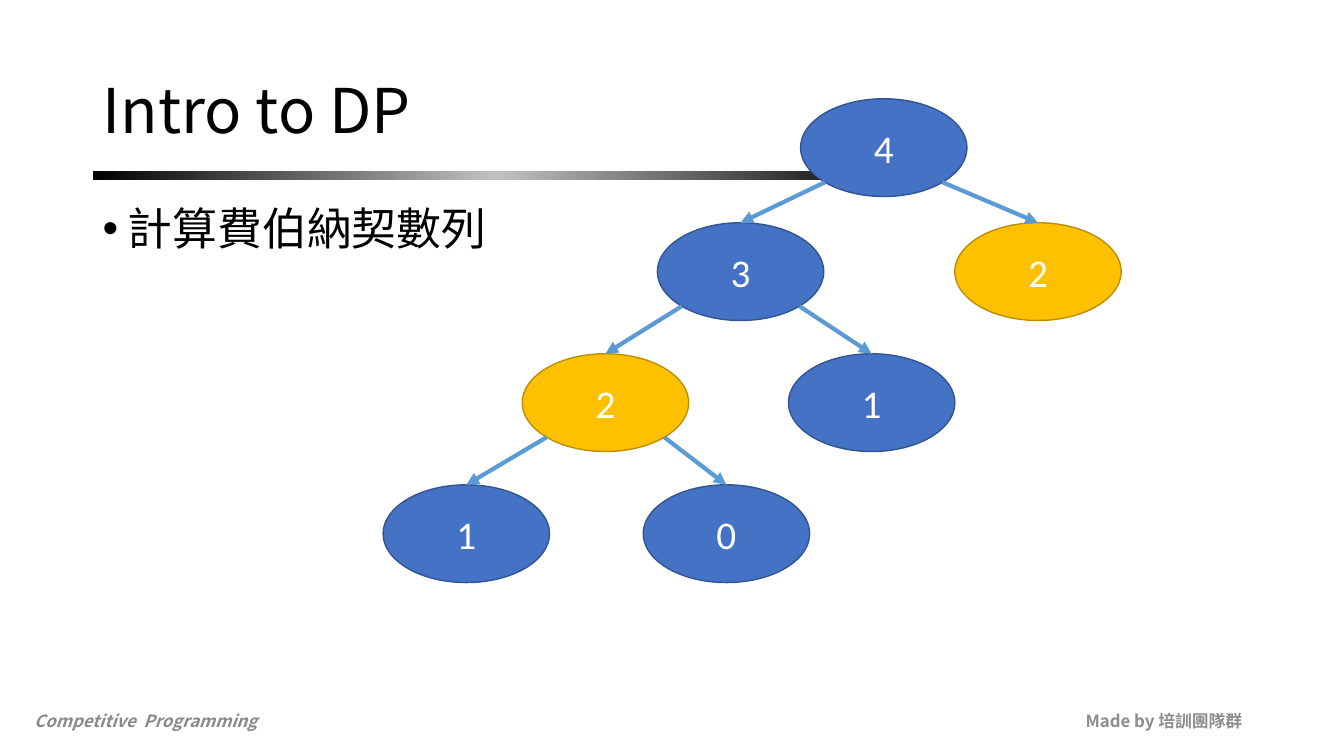
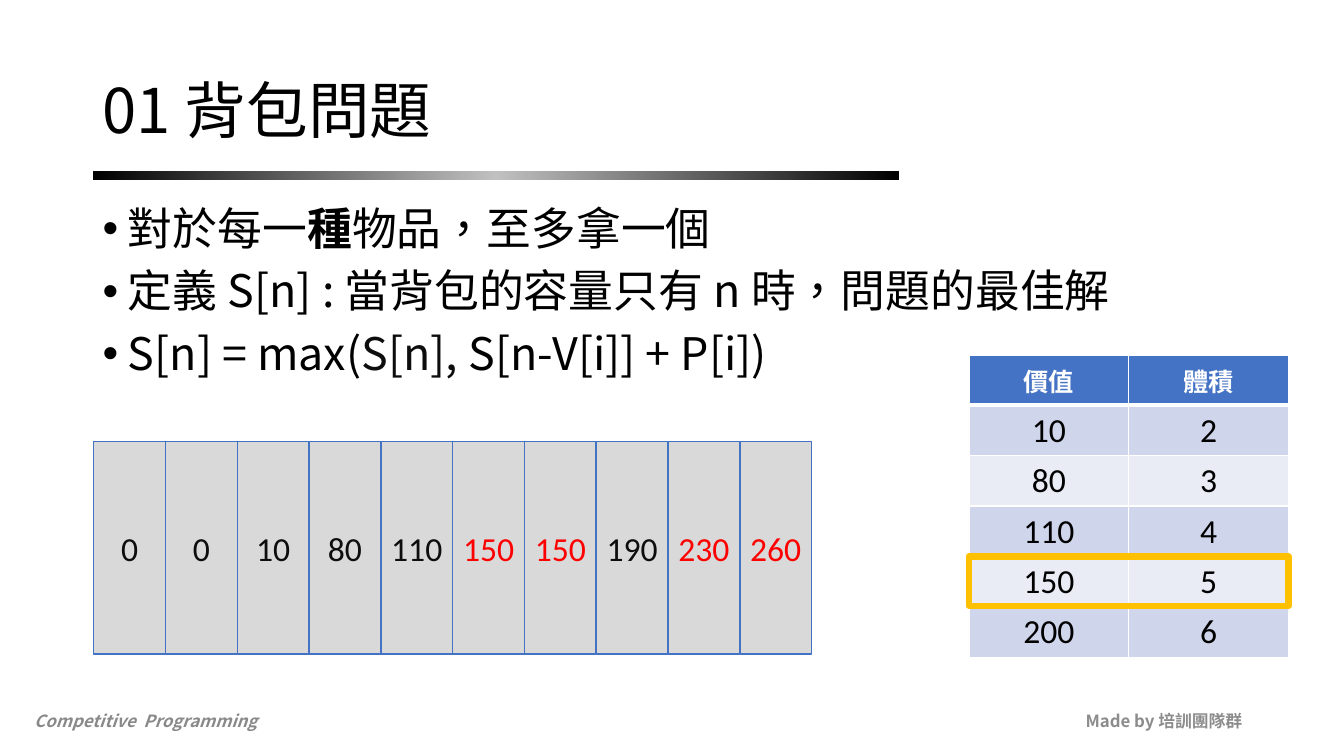
from dataclasses import dataclass
from math import cos, pi

from lxml.etree import SubElement
from pptx import Presentation
from pptx.dml.color import RGBColor
from pptx.enum.shapes import MSO_CONNECTOR, MSO_SHAPE
from pptx.enum.text import MSO_ANCHOR, PP_ALIGN
from pptx.oxml.ns import qn
from pptx.util import Inches, Pt


@dataclass(frozen=True)
class Theme:
    text_font: str = "Noto Sans CJK SC"
    number_font: str = "Calibri"
    # Type sizes
    title: int = 44
    body: int = 32
    node: int = 28
    cell: int = 24
    header: int = 18
    footer: int = 12
    # Colours
    black: str = "000000"
    ink: str = "0D0D0D"
    white: str = "FFFFFF"
    silver: str = "C0C0C0"
    credit: str = "8C8C8C"
    course: str = "898989"
    blue: str = "4472C4"
    blue_edge: str = "325491"
    gold: str = "FFC000"
    gold_edge: str = "BD8E00"
    arrow: str = "5B9BD5"
    gray: str = "D9D9D9"
    red: str = "FF0000"
    bands: tuple = ("CFD5EA", "E9EBF5")


THEME = Theme()
NODE_WIDTH, NODE_HEIGHT = 1.65, 0.97


def rgb(value):
    return RGBColor.from_string(value)


# Text
def add_bullet(paragraph):
    properties = paragraph._p.get_or_add_pPr()
    properties.set("marL", str(Inches(0.25)))
    properties.set("indent", str(Inches(-0.25)))
    SubElement(properties, qn("a:buFont"), typeface="Arial")
    SubElement(properties, qn("a:buChar"), char="•")


def write_text(frame, paragraphs, size, color=THEME.black, font=THEME.text_font,
               bold=False, italic=False, align=PP_ALIGN.LEFT, bullet=False,
               line_spacing=None, space_before=0):
    """Fill a frame; a paragraph is a list of (text, bold, colour) runs or a string."""
    for index, content in enumerate(paragraphs):
        paragraph = frame.paragraphs[0] if index == 0 else frame.add_paragraph()
        paragraph.alignment = align
        if line_spacing:
            paragraph.line_spacing = line_spacing
        if index and space_before:
            paragraph.space_before = Pt(space_before)
        if bullet:
            add_bullet(paragraph)
        runs = [(content, bold, color)] if isinstance(content, str) else content
        for text, run_bold, run_color in runs:
            run = paragraph.add_run()
            run.text = text
            run.font.size = Pt(size)
            run.font.name = font
            run.font.bold = run_bold
            run.font.italic = italic
            run.font.color.rgb = rgb(run_color)
            properties = run._r.get_or_add_rPr()
            properties.set("lang", "zh-TW")
            SubElement(properties, qn("a:ea"), typeface=THEME.text_font)


def add_text(slide, box, paragraphs, anchor=MSO_ANCHOR.MIDDLE, **text_format):
    frame = slide.shapes.add_textbox(*map(Inches, box)).text_frame
    frame.word_wrap = True
    frame.vertical_anchor = anchor
    write_text(frame, paragraphs, **text_format)


# Shapes
def add_box(slide, kind, box, fill=None, line=None, line_width=1.0):
    shape = slide.shapes.add_shape(kind, *map(Inches, box))
    shape.shadow.inherit = False
    if fill:
        shape.fill.solid()
        shape.fill.fore_color.rgb = rgb(fill)
    else:
        shape.fill.background()
    if line:
        shape.line.color.rgb = rgb(line)
        shape.line.width = Pt(line_width)
    else:
        shape.line.fill.background()
    return shape


def add_label_box(slide, kind, box, text, size, color, **look):
    shape = add_box(slide, kind, box, **look)
    frame = shape.text_frame
    frame.margin_left = frame.margin_right = 0
    frame.vertical_anchor = MSO_ANCHOR.MIDDLE
    write_text(frame, [text], size=size, color=color, font=THEME.number_font,
               align=PP_ALIGN.CENTER)
    return shape


def add_gradient_rule(slide):
    rule = add_box(slide, MSO_SHAPE.RECTANGLE, (0.92, 1.7, 8, 0.09))
    rule.fill.gradient()
    rule.fill.gradient_angle = 0
    stops = rule._element.spPr.find(".//" + qn("a:gsLst"))
    stops.clear()
    for percent, color in ((0, THEME.black), (50, THEME.silver), (100, THEME.black)):
        stop = SubElement(stops, qn("a:gs"), pos=str(percent * 1000))
        SubElement(stop, qn("a:srgbClr"), val=color)


# Frame shared by every slide
def add_content_slide(presentation, title, bullets):
    slide = presentation.slides.add_slide(presentation.slide_layouts[6])
    add_text(slide, (9.42, 6.95, 3, 0.4), ["Made by 培訓團隊群"], size=THEME.footer,
             color=THEME.credit, bold=True, align=PP_ALIGN.RIGHT)
    add_text(slide, (0.24, 6.95, 3, 0.4), ["Competitive  Programming"],
             size=THEME.footer, color=THEME.course, bold=True, italic=True)
    add_gradient_rule(slide)
    add_text(slide, (0.92, 0.4, 11.5, 1.45), [title], size=THEME.title,
             line_spacing=0.9)
    add_text(slide, (0.92, 2, 11.5, 4.76), bullets, anchor=MSO_ANCHOR.TOP,
             size=THEME.body, bullet=True, line_spacing=0.9, space_before=10)
    return slide


# Recursion tree
def add_node(slide, left, top, text, repeated):
    fill, edge = ((THEME.gold, THEME.gold_edge) if repeated
                  else (THEME.blue, THEME.blue_edge))
    return add_label_box(slide, MSO_SHAPE.OVAL, (left, top, NODE_WIDTH, NODE_HEIGHT),
                         text, THEME.node, THEME.white, fill=fill, line=edge)


def add_branch(slide, parent, child):
    """Arrow from the parent's lower diagonal point to the child's top."""
    side = 1 if child.left > parent.left else -1
    reach = cos(pi / 4) / 2
    start_x = int(parent.left + parent.width * (0.5 + side * reach))
    start_y = int(parent.top + parent.height * (0.5 + reach))
    branch = slide.shapes.add_connector(
        MSO_CONNECTOR.STRAIGHT, start_x, start_y,
        child.left + child.width // 2, child.top)
    branch.end_connect(child, 0)
    branch.line.color.rgb = rgb(THEME.arrow)
    branch.line.width = Pt(3)
    SubElement(branch.line._get_or_add_ln(), qn("a:tailEnd"), type="triangle")
    SubElement(branch._element.spPr, qn("a:effectLst"))


def add_tree(slide):
    level_tops = (0.98, 2.21, 3.51, 4.81)
    # left, level, label, repeated, index of parent
    tree = (
        (7.94, 0, "4", False, None),
        (9.47, 1, "2", True, 0),
        (6.52, 1, "3", False, 0),
        (5.18, 2, "2", True, 2),
        (7.82, 2, "1", False, 2),
        (3.8, 3, "1", False, 3),
        (6.38, 3, "0", False, 3),
    )
    nodes = []
    for left, level, label, repeated, parent in tree:
        nodes.append(add_node(slide, left, level_tops[level], label, repeated))
        if parent is not None:
            add_branch(slide, nodes[parent], nodes[-1])


# Knapsack state and items
def add_state_row(slide):
    values = (0, 0, 10, 80, 110, 150, 150, 190, 230, 260)
    updated = {5, 6, 8, 9}
    width = 7.12 / len(values)
    for index, value in enumerate(values):
        color = THEME.red if index in updated else THEME.ink
        add_label_box(slide, MSO_SHAPE.RECTANGLE,
                      (0.93 + index * width, 4.38, width, 2.11), str(value),
                      THEME.cell, color, fill=THEME.gray, line=THEME.blue)


def set_cell_borders(cell, bottom_width):
    properties = cell._tc.get_or_add_tcPr()
    widths = {"lnL": 1, "lnR": 1, "lnT": 1, "lnB": bottom_width}
    for position, (side, width) in enumerate(widths.items()):
        border = SubElement(properties, qn(f"a:{side}"), w=str(Pt(width)))
        fill = SubElement(border, qn("a:solidFill"))
        SubElement(fill, qn("a:srgbClr"), val=THEME.white)
        properties.insert(position, border)


def add_item_table(slide):
    rows = (("價值", "體積"), (10, 2), (80, 3), (110, 4), (150, 5), (200, 6))
    left, top, width, row_height = 9.61, 3.53, 3.17, 0.49
    table = slide.shapes.add_table(
        len(rows), 2, Inches(left), Inches(top), Inches(width),
        Inches(row_height * len(rows))).table
    for row_index, row in enumerate(rows):
        table.rows[row_index].height = Inches(row_height)
        header = row_index == 0
        for column_index, value in enumerate(row):
            cell = table.cell(row_index, column_index)
            cell.vertical_anchor = MSO_ANCHOR.MIDDLE
            cell.fill.solid()
            cell.fill.fore_color.rgb = rgb(
                THEME.blue if header else THEME.bands[(row_index - 1) % 2])
            set_cell_borders(cell, 3 if header else 1)
            write_text(cell.text_frame, [str(value)],
                       size=THEME.header if header else THEME.cell,
                       color=THEME.white if header else THEME.black,
                       font=THEME.number_font, bold=header, align=PP_ALIGN.CENTER)
    # Current item
    add_box(slide, MSO_SHAPE.RECTANGLE, (left, 5.52, width, row_height),
            line=THEME.gold, line_width=4.5)


def main():
    presentation = Presentation()
    presentation.slide_width = Inches(13.33)
    presentation.slide_height = Inches(7.5)

    fibonacci = add_content_slide(presentation, "Intro to DP", ["計算費伯納契數列"])
    add_tree(fibonacci)

    knapsack = add_content_slide(presentation, "01 背包問題", [
        [("對於每一", False, THEME.black), ("種", True, THEME.black),
         ("物品，至多拿一個", False, THEME.black)],
        "定義 S[n] : 當背包的容量只有 n 時，問題的最佳解",
        [("S[n] = max(", False, THEME.black), ("S[n], ", False, THEME.ink),
         ("S[n-V[i]] + P[i])", False, THEME.black)],
    ])
    add_state_row(knapsack)
    add_item_table(knapsack)

    presentation.save("out.pptx")


if __name__ == "__main__":
    main()
